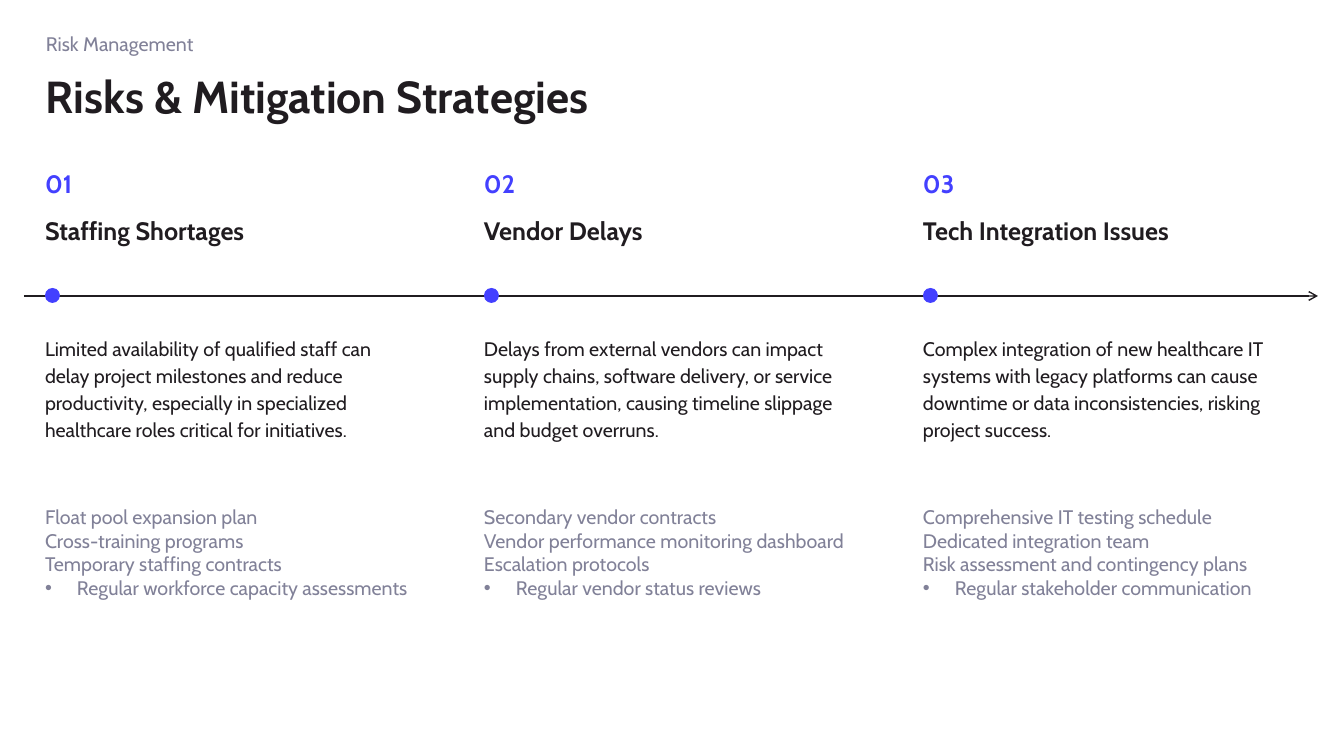
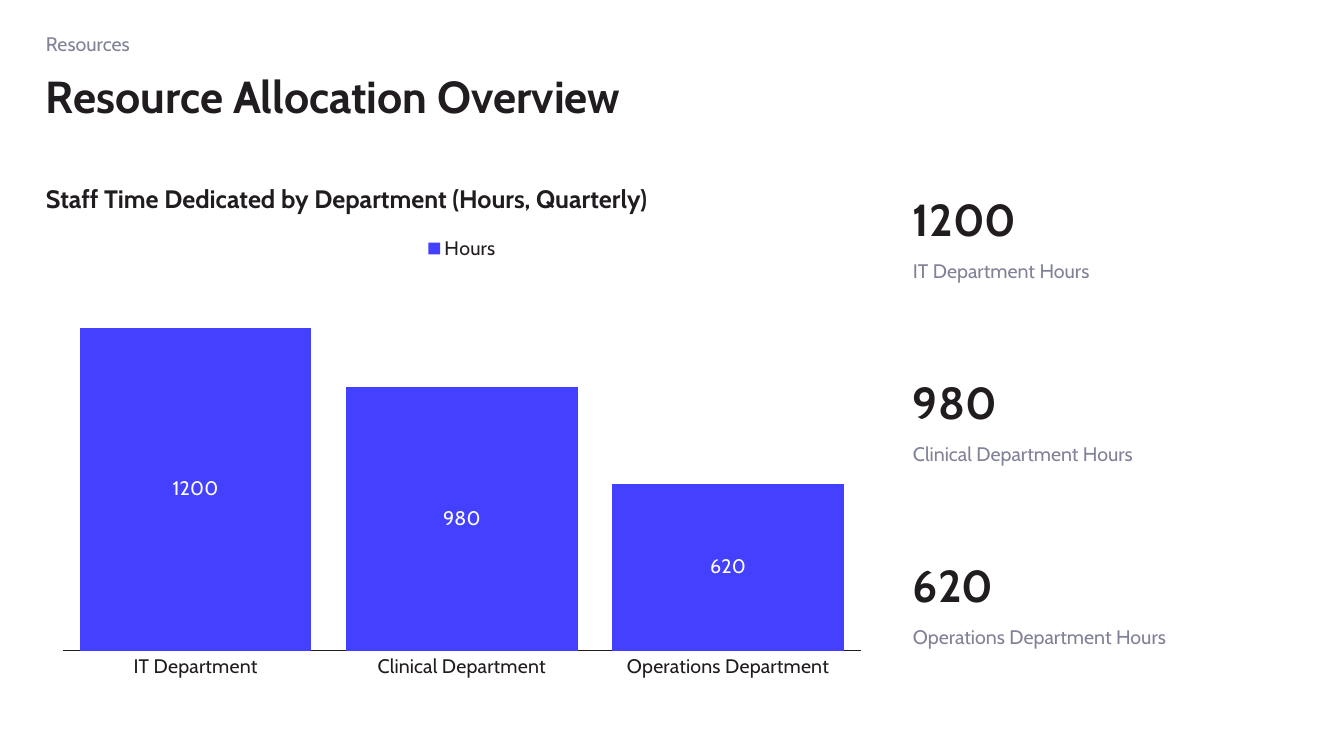
from dataclasses import dataclass

from lxml.etree import SubElement
from pptx import Presentation
from pptx.chart.data import CategoryChartData
from pptx.dml.color import RGBColor
from pptx.enum.chart import (
    XL_CHART_TYPE as ChartType,
    XL_LABEL_POSITION as LabelPosition,
    XL_LEGEND_POSITION as LegendPosition,
    XL_TICK_LABEL_POSITION as TickLabels,
    XL_TICK_MARK as TickMark,
)
from pptx.enum.shapes import MSO_CONNECTOR as Connector, MSO_SHAPE as Shape
from pptx.enum.text import MSO_ANCHOR as Anchor, MSO_AUTO_SIZE as AutoSize, PP_ALIGN as Align
from pptx.oxml.ns import qn
from pptx.util import Emu, Pt

PAGE_WIDTH, PAGE_HEIGHT = 1344, 756
EMU_PER_PX = 12192000 / PAGE_WIDTH


def px(length: int) -> Emu:
    return Emu(round(length * EMU_PER_PX))


# Theme
@dataclass(frozen=True)
class Theme:
    font: str = "Cabin"
    ink: RGBColor = RGBColor(0x20, 0x1C, 0x20)
    muted: RGBColor = RGBColor(0x81, 0x81, 0x98)
    accent: RGBColor = RGBColor(0x43, 0x40, 0xFF)
    white: RGBColor = RGBColor(0xFF, 0xFF, 0xFF)
    large: int = 32
    medium: int = 18
    small: int = 14


THEME = Theme()


@dataclass(frozen=True)
class TextStyle:
    size: int
    color: RGBColor
    bold: bool = False
    line: float = 1.0
    before: int = 0
    anchor: Anchor = Anchor.TOP
    left_inset: int = 0


TITLE = TextStyle(THEME.large, THEME.ink, True, line=0.9)
KICKER = TextStyle(THEME.small, THEME.muted)
NUMBER = TextStyle(THEME.medium, THEME.accent, True)
HEADING = TextStyle(THEME.medium, THEME.ink, True, before=12)
DESCRIPTION = TextStyle(THEME.small, THEME.ink, line=1.14, before=10)
ACTIONS = TextStyle(THEME.small, THEME.muted)
CHART_HEADING = TextStyle(THEME.medium, THEME.ink, True, line=1.5, before=12)
STAT_VALUE = TextStyle(THEME.large, THEME.ink, True, 0.85, 12, Anchor.BOTTOM, 10)
STAT_LABEL = TextStyle(THEME.small, THEME.muted, False, 1.14, 12, left_inset=10)


@dataclass(frozen=True)
class Box:
    left: int
    top: int
    width: int
    height: int

    def emu(self) -> tuple[Emu, ...]:
        return px(self.left), px(self.top), px(self.width), px(self.height)


# Content
@dataclass(frozen=True)
class Risk:
    name: str
    description: str
    actions: tuple[str, ...]


@dataclass(frozen=True)
class Department:
    name: str
    hours: int


RISKS = (
    Risk(
        "Staffing Shortages",
        "Limited availability of qualified staff can delay project milestones and reduce "
        "productivity, especially in specialized healthcare roles critical for initiatives.",
        ("Float pool expansion plan", "Cross-training programs",
         "Temporary staffing contracts", "Regular workforce capacity assessments"),
    ),
    Risk(
        "Vendor Delays",
        "Delays from external vendors can impact supply chains, software delivery, or service "
        "implementation, causing timeline slippage and budget overruns.",
        ("Secondary vendor contracts", "Vendor performance monitoring dashboard",
         "Escalation protocols", "Regular vendor status reviews"),
    ),
    Risk(
        "Tech Integration Issues",
        "Complex integration of new healthcare IT systems with legacy platforms can cause "
        "downtime or data inconsistencies, risking project success.",
        ("Comprehensive IT testing schedule", "Dedicated integration team",
         "Risk assessment and contingency plans", "Regular stakeholder communication"),
    ),
)
DEPARTMENTS = (
    Department("IT Department", 1200),
    Department("Clinical Department", 980),
    Department("Operations Department", 620),
)


# Shared drawing functions
def style_font(font, size: int, color: RGBColor, bold: bool = False) -> None:
    font.name = THEME.font
    font.size = Pt(size)
    font.bold = bold
    font.color.rgb = color


def set_bullet(para, symbol: str = "", indent: int = 0) -> None:
    props = para._p.get_or_add_pPr()
    props.set("marL", str(px(indent)))
    props.set("indent", str(-px(indent)))
    if symbol:
        SubElement(props, qn("a:buChar")).set("char", symbol)
    else:
        SubElement(props, qn("a:buNone"))


def fill_text(shape, box: Box, text: str, style: TextStyle, bullet_last: bool = False) -> None:
    shape.left, shape.top, shape.width, shape.height = box.emu()
    frame = shape.text_frame
    frame.text = text
    frame.word_wrap = True
    frame.auto_size = AutoSize.NONE
    frame.vertical_anchor = style.anchor
    frame.margin_left, frame.margin_right = px(style.left_inset), px(10)
    frame.margin_top = frame.margin_bottom = px(5)
    last = len(frame.paragraphs) - 1
    for index, para in enumerate(frame.paragraphs):
        para.alignment = Align.LEFT
        para.line_spacing = style.line
        para.space_before, para.space_after = Pt(style.before), Pt(0)
        if bullet_last and index == last:
            set_bullet(para, "•", 32)
        else:
            set_bullet(para)
        for span in para.runs:
            style_font(span.font, style.size, style.color, style.bold)


def add_text(page, box: Box, text: str, style: TextStyle) -> None:
    fill_text(page.shapes.add_textbox(*box.emu()), box, text, style)


def add_page(deck, kicker: str, title: str):
    """Return a page with its heading set, and its three free body placeholders."""
    page = deck.slides.add_slide(deck.slide_layouts.get_by_name("Comparison"))
    fill_text(page.shapes.title, Box(46, 70, 1252, 70), title, TITLE)
    kicker_body, *bodies = [item for item in page.placeholders if item.placeholder_format.idx > 0]
    fill_text(kicker_body, Box(46, 27, 395, 45), kicker, KICKER)
    return page, bodies


# Risk timeline
def add_arrow(page, left: int, right: int, y: int) -> None:
    arrow = page.shapes.add_connector(Connector.STRAIGHT, px(left), px(y), px(right), px(y))
    arrow.line.color.rgb = THEME.ink
    arrow.line.width = Pt(1)
    SubElement(arrow.line._get_or_add_ln(), qn("a:tailEnd")).set("type", "arrow")
    SubElement(arrow._element.spPr, qn("a:effectLst"))


def add_dot(page, box: Box) -> None:
    dot = page.shapes.add_shape(Shape.OVAL, *box.emu())
    dot.shadow.inherit = False
    dot.fill.solid()
    dot.fill.fore_color.rgb = THEME.accent
    dot.line.fill.background()


def build_risks(deck) -> None:
    page, bodies = add_page(deck, "Risk Management", "Risks & Mitigation Strategies")
    add_arrow(page, 24, 1318, 296)
    first_left, pitch, width = 45, 439, 375
    for index, (risk, body) in enumerate(zip(RISKS, bodies)):
        left = first_left + index * pitch
        add_text(page, Box(left, 163, 93, 40), f"{index + 1:02}", NUMBER)
        add_text(page, Box(left, 210, width, 53), risk.name, HEADING)
        add_dot(page, Box(left, 288, 15, 15))
        add_text(page, Box(left, 329, width, 171), risk.description, DESCRIPTION)
        fill_text(body, Box(left, 500, width, 174), "\n".join(risk.actions), ACTIONS, True)


# Resource chart and figures
def add_hours_chart(page, box: Box) -> None:
    data = CategoryChartData()
    data.categories = [department.name for department in DEPARTMENTS]
    data.add_series("Hours", [department.hours for department in DEPARTMENTS])
    chart = page.shapes.add_chart(ChartType.COLUMN_STACKED, *box.emu(), data).chart
    chart.has_title = False
    style_font(chart.font, THEME.small, THEME.ink)

    chart.has_legend = True
    chart.legend.position = LegendPosition.TOP
    chart.legend.include_in_layout = False

    for axis in (chart.category_axis, chart.value_axis):
        axis.major_tick_mark = axis.minor_tick_mark = TickMark.NONE
        axis.has_major_gridlines = False
    chart.category_axis.format.line.color.rgb = THEME.ink
    chart.category_axis.format.line.width = Pt(0.75)
    chart.value_axis.tick_label_position = TickLabels.NONE
    chart.value_axis.format.line.fill.background()
    chart.value_axis.minimum_scale, chart.value_axis.maximum_scale = 0, 1400

    plot = chart.plots[0]
    plot.vary_by_categories = False
    plot.gap_width, plot.overlap = 15, 100
    bars = plot.series[0]
    bars.format.fill.solid()
    bars.format.fill.fore_color.rgb = THEME.accent
    labels = bars.data_labels
    labels.show_value = True
    labels.position = LabelPosition.CENTER
    style_font(labels.font, THEME.small, THEME.white)


def build_resources(deck) -> None:
    page, bodies = add_page(deck, "Resources", "Resource Allocation Overview")
    add_text(page, Box(46, 163, 832, 60),
             "Staff Time Dedicated by Department (Hours, Quarterly)", CHART_HEADING)
    add_hours_chart(page, Box(46, 225, 832, 463))
    left, first_top, pitch, width, value_height = 903, 163, 183, 395, 88
    for index, (department, body) in enumerate(zip(DEPARTMENTS, bodies)):
        top = first_top + index * pitch
        add_text(page, Box(left, top, width, value_height), str(department.hours), STAT_VALUE)
        fill_text(body, Box(left, top + value_height, width, 71),
                  f"{department.name} Hours", STAT_LABEL)


def main() -> None:
    deck = Presentation()
    deck.slide_width, deck.slide_height = px(PAGE_WIDTH), px(PAGE_HEIGHT)
    build_risks(deck)
    build_resources(deck)
    deck.save("out.pptx")


if __name__ == "__main__":
    main()
